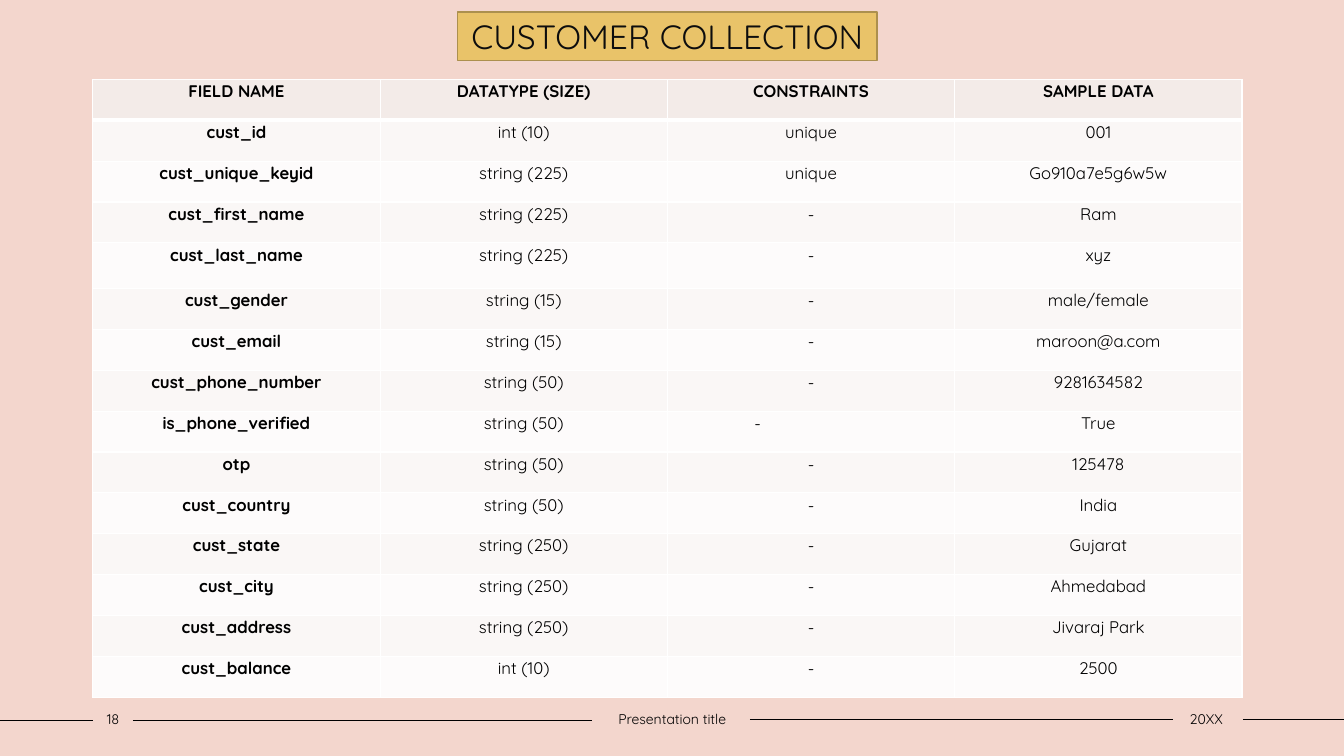
"""Build the customer collection slide with its field table."""
from lxml.etree import SubElement
from pptx import Presentation
from pptx.dml.color import RGBColor
from pptx.enum.shapes import MSO_CONNECTOR, MSO_SHAPE
from pptx.enum.text import MSO_ANCHOR, PP_ALIGN
from pptx.oxml.ns import qn
from pptx.util import Cm, Pt

TITLE = "CUSTOMER COLLECTION"
HEADER = ("FIELD NAME", "DATATYPE (SIZE)", "CONSTRAINTS", "SAMPLE DATA")
FIELDS = [
    ("cust_id", "int (10)", "unique", "001"),
    ("cust_unique_keyid", "string (225)", "unique", "Go910a7e5g6w5w"),
    ("cust_first_name", "string (225)", "-", "Ram"),
    ("cust_last_name", "string (225)", "-", "xyz"),
    ("cust_gender", "string (15)", "-", "male/female"),
    ("cust_email", "string (15)", "-", "maroon@a.com"),
    ("cust_phone_number", "string (50)", "-", "9281634582"),
    ("is_phone_verified", "string (50)", "-", "True"),
    ("otp", "string (50)", "-", "125478"),
    ("cust_country", "string (50)", "-", "India"),
    ("cust_state", "string (250)", "-", "Gujarat"),
    ("cust_city", "string (250)", "-", "Ahmedabad"),
    ("cust_address", "string (250)", "-", "Jivaraj Park"),
    ("cust_balance", "int (10)", "-", "2500"),
]
FOOTER = [("18", 2.34, 1.02), ("Presentation title", 14.91, 4.06), ("20XX", 29.51, 1.78)]
RULES = [(0, 2.34, 18.15), (3.35, 14.91, 18.15), (18.9, 29.57, 18.13), (31.32, 33.87, 18.13)]

FONT = "Quicksand"
BLACK = RGBColor(0x00, 0x00, 0x00)
WHITE = RGBColor(0xFF, 0xFF, 0xFF)
PINK = RGBColor(0xF3, 0xD6, 0xCD)
GOLD = RGBColor(0xE9, 0xC3, 0x69)
DARK_GOLD = RGBColor(0xAC, 0x90, 0x4E)
TITLE_INK = RGBColor(0x0D, 0x0D, 0x0D)
HEADER_FILL = RGBColor(0xF3, 0xEB, 0xE8)
BAND_FILLS = (RGBColor(0xFD, 0xFB, 0xFB), RGBColor(0xFA, 0xF7, 0xF6))

COL_W = Cm(7.24)
ROW_H, TALL_ROW_H = Cm(1.03), Cm(1.15)
TALL_ROW = 4
INDENTED_CELL = (8, 2)


def write(tf, text, size, color=BLACK, bold=False):
    tf.text = text
    p = tf.paragraphs[0]
    p.alignment = PP_ALIGN.CENTER
    font = p.runs[0].font
    font.name, font.size, font.bold = FONT, Pt(size), bold
    font.color.rgb = color
    return p


def add_rule(s, x1, x2, y):
    rule = s.shapes.add_connector(MSO_CONNECTOR.STRAIGHT, Cm(x1), Cm(y), Cm(x2), Cm(y))
    rule.line.color.rgb = BLACK
    rule.line.width = Pt(1)
    SubElement(rule._element.spPr, qn("a:effectLst"))


def add_footer_text(s, text, x, width):
    tf = s.shapes.add_textbox(Cm(x), Cm(17.78), Cm(width), Cm(0.69)).text_frame
    tf.word_wrap = True
    tf.margin_left = tf.margin_right = 0
    tf.vertical_anchor = MSO_ANCHOR.MIDDLE
    write(tf, text, 10)


def set_border(cell, side, points):
    ln = SubElement(cell._tc.get_or_add_tcPr(), qn(f"a:ln{side}"), w=str(Pt(points)))
    fill = SubElement(ln, qn("a:solidFill"))
    SubElement(fill, qn("a:srgbClr"), val=str(WHITE))


def format_cell(cell, text, row, col):
    for side in "LRTB":
        header_edge = (row, side) in ((0, "B"), (1, "T"))
        set_border(cell, side, 3 if header_edge else 1)
    cell.fill.solid()
    cell.fill.fore_color.rgb = BAND_FILLS[row % 2] if row else HEADER_FILL
    cell.margin_left = cell.margin_right = Cm(0.18)
    cell.margin_top = cell.margin_bottom = 0
    p = write(cell.text_frame, text, 12, bold=row == 0 or col == 0)
    p.line_spacing = 1.07
    p.space_after = Pt(8)
    if (row, col) == INDENTED_CELL:
        p.alignment = PP_ALIGN.LEFT
        p._p.get_or_add_pPr().set("marL", str(Cm(2.01)))


def add_field_table(s):
    rows = [HEADER] + FIELDS
    height = ROW_H * (len(rows) - 1) + TALL_ROW_H
    table = s.shapes.add_table(len(rows), len(HEADER), Cm(2.34), Cm(2),
                               COL_W * len(HEADER), height).table
    table.horz_banding = False
    for column in table.columns:
        column.width = COL_W
    for i, texts in enumerate(rows):
        table.rows[i].height = TALL_ROW_H if i == TALL_ROW else ROW_H
        for j, text in enumerate(texts):
            format_cell(table.cell(i, j), text, i, j)


def add_title(s):
    sp = s.shapes.add_shape(MSO_SHAPE.RECTANGLE, Cm(11.53), Cm(0.3), Cm(10.57), Cm(1.22))
    sp.shadow.inherit = False
    sp.fill.solid()
    sp.fill.fore_color.rgb = GOLD
    sp.line.color.rgb = DARK_GOLD
    sp.line.width = Pt(1)
    sp.text_frame.vertical_anchor = MSO_ANCHOR.MIDDLE
    write(sp.text_frame, TITLE, 24, TITLE_INK)


def main():
    prs = Presentation()
    prs.slide_width, prs.slide_height = Cm(33.87), Cm(19.05)
    s = prs.slides.add_slide(prs.slide_layouts[6])
    s.background.fill.solid()
    s.background.fill.fore_color.rgb = PINK
    for rule in RULES:
        add_rule(s, *rule)
    for item in FOOTER:
        add_footer_text(s, *item)
    add_field_table(s)
    add_title(s)
    prs.save("out.pptx")


if __name__ == "__main__":
    main()
